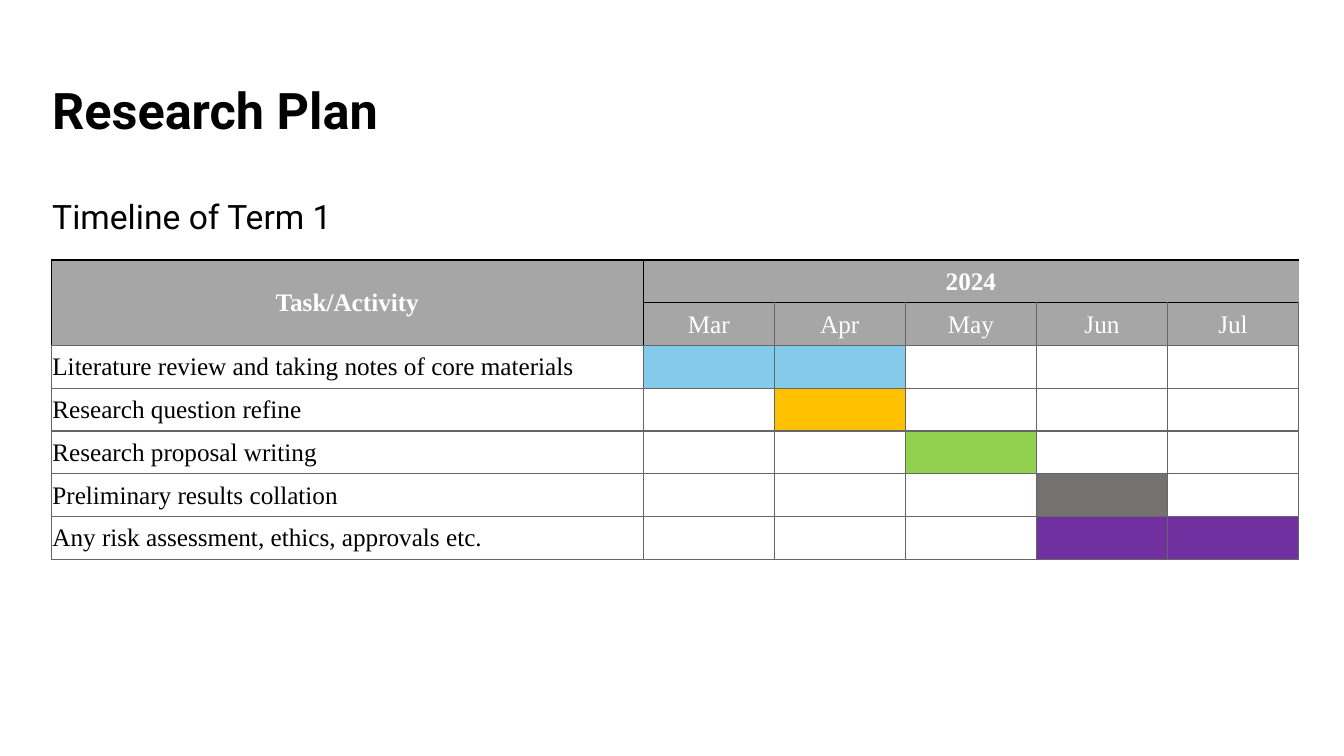
from dataclasses import dataclass

from lxml import etree
from pptx import Presentation
from pptx.dml.color import RGBColor
from pptx.enum.text import MSO_ANCHOR, PP_ALIGN
from pptx.oxml.ns import qn
from pptx.slide import Slide
from pptx.table import Table, _Cell
from pptx.text.text import TextFrame
from pptx.util import Inches, Pt

MIDDLE, TOP = MSO_ANCHOR.MIDDLE, MSO_ANCHOR.TOP
LEFT, CENTER, JUSTIFY = PP_ALIGN.LEFT, PP_ALIGN.CENTER, PP_ALIGN.JUSTIFY


@dataclass(frozen=True)
class Theme:
    heading_font: str = "Roboto"
    table_font: str = "Times New Roman"
    title_size: int = 36
    subtitle_size: int = 24
    table_size: int = 18
    border_width: int = 1
    black: str = "000000"
    white: str = "FFFFFF"
    header: str = "A6A6A6"
    grid: str = "666666"
    blue: str = "83CAEB"
    amber: str = "FFC000"
    green: str = "92D050"
    gray: str = "757171"
    purple: str = "7030A0"


@dataclass(frozen=True)
class Task:
    name: str
    months: tuple[str, ...]
    color: str


@dataclass(frozen=True)
class Heading:
    text: str
    box: tuple[float, float, float, float]
    size: int
    bold: bool
    anchor: MSO_ANCHOR
    line_spacing: float


THEME = Theme()
YEAR = "2024"
MONTHS = ("Mar", "Apr", "May", "Jun", "Jul")
TASKS = (
    Task("Literature review and taking notes of core materials", ("Mar", "Apr"), THEME.blue),
    Task("Research question refine", ("Apr",), THEME.amber),
    Task("Research proposal writing", ("May",), THEME.green),
    Task("Preliminary results collation", ("Jun",), THEME.gray),
    Task("Any risk assessment, ethics, approvals etc.", ("Jun", "Jul"), THEME.purple),
)
HEADINGS = (
    Heading("Research Plan", (0.42, 0.4, 11.5, 1.45), THEME.title_size, True, MIDDLE, 0.9),
    Heading("Timeline of Term 1", (0.42, 1.69, 8.13, 0.64), THEME.subtitle_size, False, TOP, 1.5),
)
HEADER_ROWS = 2
TABLE_LEFT, TABLE_TOP, TABLE_HEIGHT = 0.51, 2.58, 2.97
TASK_WIDTH, MONTH_WIDTH = 5.87, 1.3


def write_text(frame: TextFrame, text: str, *, font: str, size: int, color: str,
               bold: bool = False, alignment: PP_ALIGN = LEFT,
               line_spacing: float = 1.0) -> None:
    paragraph = frame.paragraphs[0]
    paragraph.alignment = alignment
    paragraph.line_spacing = line_spacing
    run = paragraph.add_run()
    run.text = text
    run.font.name = font
    run.font.size = Pt(size)
    run.font.bold = bold
    run.font.color.rgb = RGBColor.from_string(color)


def add_heading(slide: Slide, heading: Heading) -> None:
    frame = slide.shapes.add_textbox(*map(Inches, heading.box)).text_frame
    frame.word_wrap = True
    frame.vertical_anchor = heading.anchor
    write_text(frame, heading.text, font=THEME.heading_font, size=heading.size,
               color=THEME.black, bold=heading.bold, line_spacing=heading.line_spacing)


def border_colors(row: int, column: int) -> dict[str, str | None]:
    colors: dict[str, str | None] = dict.fromkeys(("lnL", "lnR", "lnT", "lnB"), THEME.grid)
    if row < HEADER_ROWS:
        colors["lnT"] = THEME.black
        if column <= 1:
            colors["lnL"] = THEME.black
        if column == 0:
            colors["lnR"] = THEME.black
        elif row == 0:
            colors["lnR"] = None
            colors["lnB"] = THEME.black
    return colors


def style_cell(cell: _Cell, fill: str, borders: dict[str, str | None]) -> None:
    properties = cell._tc.get_or_add_tcPr()
    for side, color in borders.items():
        line = etree.SubElement(properties, qn(f"a:{side}"), w=str(Pt(THEME.border_width)))
        if color is None:
            etree.SubElement(line, qn("a:noFill"))
        else:
            solid = etree.SubElement(line, qn("a:solidFill"))
            etree.SubElement(solid, qn("a:srgbClr"), val=color)
    cell.fill.solid()
    cell.fill.fore_color.rgb = RGBColor.from_string(fill)


def write_cell(cell: _Cell, text: str, *, color: str, alignment: PP_ALIGN,
               bold: bool = False) -> None:
    cell.vertical_anchor = MIDDLE
    cell.margin_left = cell.margin_right = cell.margin_top = Inches(0.01)
    cell.margin_bottom = 0
    write_text(cell.text_frame, text, font=THEME.table_font, size=THEME.table_size,
               color=color, bold=bold, alignment=alignment)


def cell_fill(row: int, column: int) -> str:
    if row < HEADER_ROWS:
        return THEME.header
    task = TASKS[row - HEADER_ROWS]
    active = column > 0 and MONTHS[column - 1] in task.months
    return task.color if active else THEME.white


def fill_table(table: Table) -> None:
    for row in range(len(table.rows)):
        for column in range(len(table.columns)):
            style_cell(table.cell(row, column), cell_fill(row, column),
                       border_colors(row, column))
    table.cell(0, 0).merge(table.cell(HEADER_ROWS - 1, 0))
    table.cell(0, 1).merge(table.cell(0, len(MONTHS)))
    for column, text in enumerate(("Task/Activity", YEAR)):
        write_cell(table.cell(0, column), text, color=THEME.white, alignment=CENTER, bold=True)
    for column, month in enumerate(MONTHS, start=1):
        write_cell(table.cell(1, column), month, color=THEME.white, alignment=CENTER)
    for row, task in enumerate(TASKS, start=HEADER_ROWS):
        write_cell(table.cell(row, 0), task.name, color=THEME.black, alignment=JUSTIFY)


def add_timeline(slide: Slide) -> None:
    row_count = HEADER_ROWS + len(TASKS)
    widths = [TASK_WIDTH] + [MONTH_WIDTH] * len(MONTHS)
    table = slide.shapes.add_table(
        row_count, len(widths), Inches(TABLE_LEFT), Inches(TABLE_TOP),
        Inches(sum(widths)), Inches(TABLE_HEIGHT)).table
    table.first_row = False
    table.horz_banding = False
    for column, width in zip(table.columns, widths):
        column.width = Inches(width)
    fill_table(table)


def main() -> None:
    presentation = Presentation()
    presentation.slide_width = Inches(13.33)
    presentation.slide_height = Inches(7.5)
    slide = presentation.slides.add_slide(presentation.slide_layouts[6])
    for heading in HEADINGS:
        add_heading(slide, heading)
    add_timeline(slide)
    presentation.save("out.pptx")


if __name__ == "__main__":
    main()
